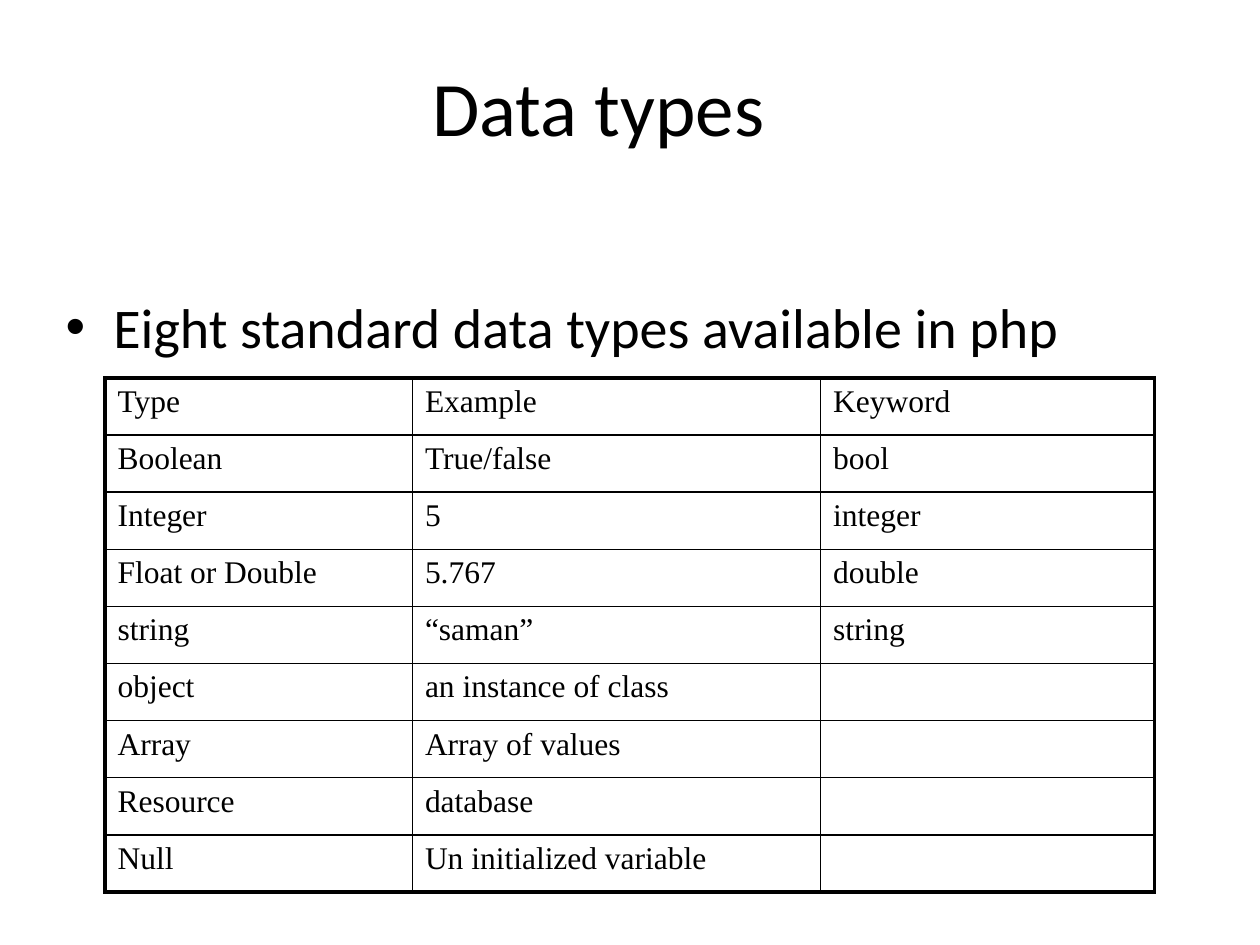
from lxml.etree import SubElement
from pptx import Presentation
from pptx.dml.color import RGBColor
from pptx.enum.text import MSO_ANCHOR, PP_ALIGN
from pptx.oxml.ns import qn
from pptx.util import Inches, Pt

# Content
TITLE = "Data types"
POINT = "Eight standard data types available in php"
ROWS = [
    ("Type", "Example", "Keyword"),
    ("Boolean", "True/false", "bool"),
    ("Integer", "5", "integer"),
    ("Float or Double", "5.767", "double"),
    ("string", "“saman”", "string"),
    ("object", "an instance of class", ""),
    ("Array", "Array of values", ""),
    ("Resource", "database", ""),
    ("Null", "Un initialized variable", ""),
]

# Style and layout
BLACK = RGBColor(0, 0, 0)
THIN, THICK = 1, 2.25
WIDE, HIGH = 10, 7.5
COLS = (2.44, 3.24, 2.65)
LEFT, TOP, DEPTH = WIDE / 12, HIGH * 0.4, 4.08


def write(frame, text, size, font="Calibri", align=PP_ALIGN.LEFT):
    para = frame.paragraphs[0]
    para.alignment = align
    para.space_before = Pt(0)
    run = para.add_run()
    run.text = text
    run.font.size = Pt(size)
    run.font.name = font
    run.font.color.rgb = BLACK
    return para


def place(shape, *box):
    shape.left, shape.top, shape.width, shape.height = map(Inches, box)


def rule(cell, side, width):
    line = SubElement(cell._tc.get_or_add_tcPr(), qn("a:ln" + side), w=str(Pt(width)))
    fill = SubElement(line, qn("a:solidFill"))
    SubElement(fill, qn("a:srgbClr"), val=str(BLACK))


def main():
    deck = Presentation()
    deck.slide_width, deck.slide_height = Inches(WIDE), Inches(HIGH)
    slide = deck.slides.add_slide(deck.slide_layouts[1])

    # Title
    title = slide.shapes.title
    place(title, 0.5, 0.42, 8.5, 0.83)
    title.text_frame.vertical_anchor = MSO_ANCHOR.MIDDLE
    write(title.text_frame, TITLE, 44, align=PP_ALIGN.CENTER)

    # Bullet, set down from the top of the body
    body = slide.placeholders[1]
    place(body, 0.42, 1.83, 9.5, 5.67)
    body.text_frame.margin_top = Inches(0.49)
    props = write(body.text_frame, POINT, 32)._p.get_or_add_pPr()
    props.set("marL", str(Inches(0.38)))
    props.set("indent", str(-Inches(0.38)))

    # Table: thick frame, thin inner rules
    last, end = len(ROWS) - 1, len(COLS) - 1
    table = slide.shapes.add_table(
        len(ROWS), len(COLS), Inches(LEFT), Inches(TOP),
        Inches(sum(COLS)), Inches(DEPTH)).table
    table.first_row = table.horz_banding = False
    for col, width in zip(table.columns, COLS):
        col.width = Inches(width)
    for r, row in enumerate(ROWS):
        table.rows[r].height = Inches(DEPTH / len(ROWS))
        for c, text in enumerate(row):
            cell = table.cell(r, c)
            if text:
                write(cell.text_frame, text, 18, font="Times New Roman")
            edges = {"L": c == 0, "R": c == end, "T": r == 0, "B": r == last}
            for side, outer in edges.items():
                rule(cell, side, THICK if outer else THIN)
            cell.fill.background()

    deck.save("out.pptx")


if __name__ == "__main__":
    main()
